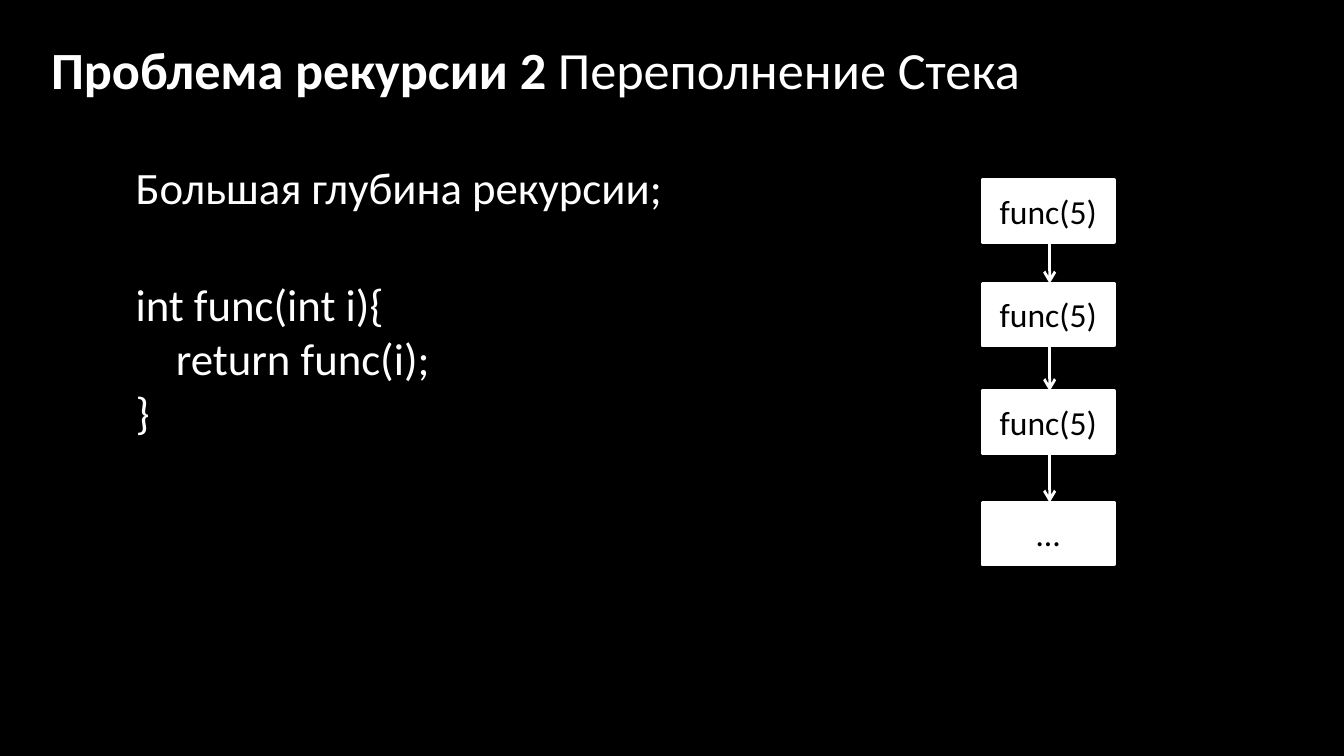
from pptx import Presentation
from pptx.dml.color import RGBColor
from pptx.enum.shapes import MSO_CONNECTOR as CONNECTOR, MSO_SHAPE as SHAPE
from pptx.enum.text import MSO_ANCHOR as ANCHOR, MSO_AUTO_SIZE as AUTO_SIZE, PP_ALIGN as ALIGN
from pptx.oxml.ns import qn
from pptx.util import Inches, Pt
from lxml import etree

BLACK = RGBColor(0x00, 0x00, 0x00)
WHITE = RGBColor(0xFF, 0xFF, 0xFF)


def add_text(paragraph, text, size=24, color=WHITE, bold=False, align=ALIGN.LEFT):
    paragraph.alignment = align
    run = paragraph.add_run()
    run.text = text
    run.font.name = "Calibri"
    run.font.size = Pt(size)
    run.font.bold = bold
    run.font.color.rgb = color


# Widescreen slide, 16:9
presentation = Presentation()
presentation.slide_width = Inches(10)
presentation.slide_height = Inches(10) * 9 // 16
slide = presentation.slides.add_slide(presentation.slide_layouts[5])
slide.background.fill.solid()
slide.background.fill.fore_color.rgb = BLACK

# Title
title = slide.shapes.title
title.left, title.top = Inches(0.28), Inches(0.23)
title.width, title.height = Inches(9.45), Inches(0.7)
title.text_frame.vertical_anchor = ANCHOR.TOP
title.text_frame.auto_size = AUTO_SIZE.NONE
heading = title.text_frame.paragraphs[0]
add_text(heading, "Проблема рекурсии 2 ", size=28, bold=True)
add_text(heading, "Переполнение Стека", size=28)

# Statement and code: text, space before in points, indent in inches
body_lines = [
    ("Большая глубина рекурсии;", 0, 0),
    ("int func(int i){", 34, 0),
    ("return func(i);", 0, 0.3),
    ("}", 0, 0),
]
body = slide.shapes.add_textbox(Inches(0.91), Inches(1.14), Inches(8.81), Inches(3.89))
body.text_frame.word_wrap = True
for index, (text, space_before, indent) in enumerate(body_lines):
    paragraph = body.text_frame.paragraphs[0] if index == 0 else body.text_frame.add_paragraph()
    paragraph.space_before = Pt(space_before)
    paragraph._p.get_or_add_pPr().set("marL", str(Inches(indent)))
    add_text(paragraph, text)

# Call stack boxes
BOX_LEFT, BOX_WIDTH, BOX_HEIGHT = 7.31, 0.98, 0.46
calls = [("func(5)", 1.34), ("func(5)", 2.11), ("func(5)", 2.91), ("…", 3.74)]
for text, top in calls:
    box = slide.shapes.add_shape(
        SHAPE.RECTANGLE, Inches(BOX_LEFT), Inches(top), Inches(BOX_WIDTH), Inches(BOX_HEIGHT))
    box.shadow.inherit = False
    box.fill.solid()
    box.fill.fore_color.rgb = WHITE
    box.line.color.rgb = WHITE
    box.line.width = Pt(2)
    box.text_frame.vertical_anchor = ANCHOR.MIDDLE
    add_text(box.text_frame.paragraphs[0], text, size=18, color=BLACK, align=ALIGN.CENTER)

# Arrows from each call to the next
ARROW_X = Inches(7.81)
for (_, top), (_, next_top) in zip(calls, calls[1:]):
    arrow = slide.shapes.add_connector(
        CONNECTOR.STRAIGHT, ARROW_X, Inches(top + BOX_HEIGHT), ARROW_X, Inches(next_top))
    arrow.line.color.rgb = WHITE
    arrow.line.width = Pt(1.5)
    etree.SubElement(arrow.line._get_or_add_ln(), qn("a:tailEnd"), type="arrow")
    etree.SubElement(arrow._element.spPr, qn("a:effectLst"))

presentation.save("out.pptx")
